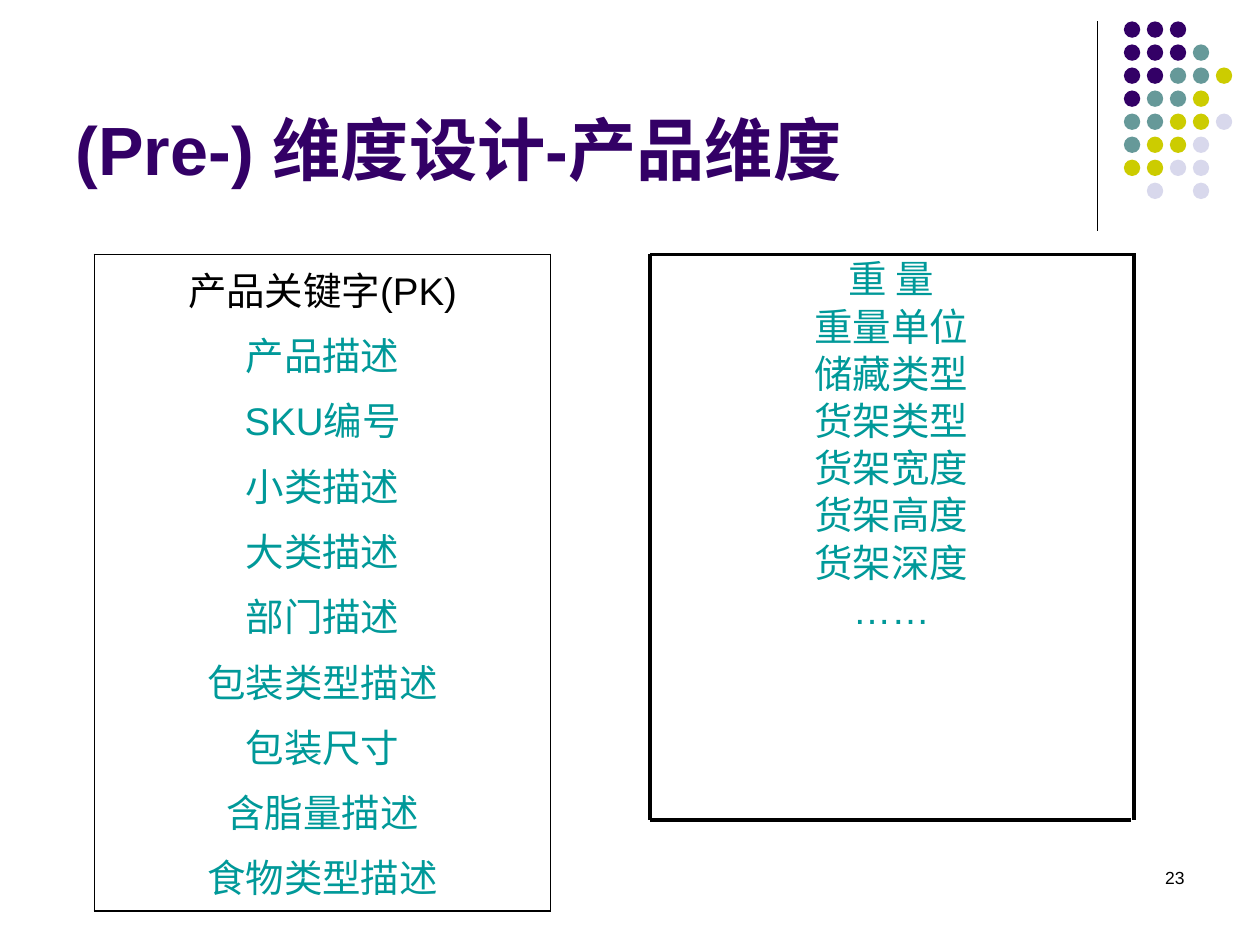
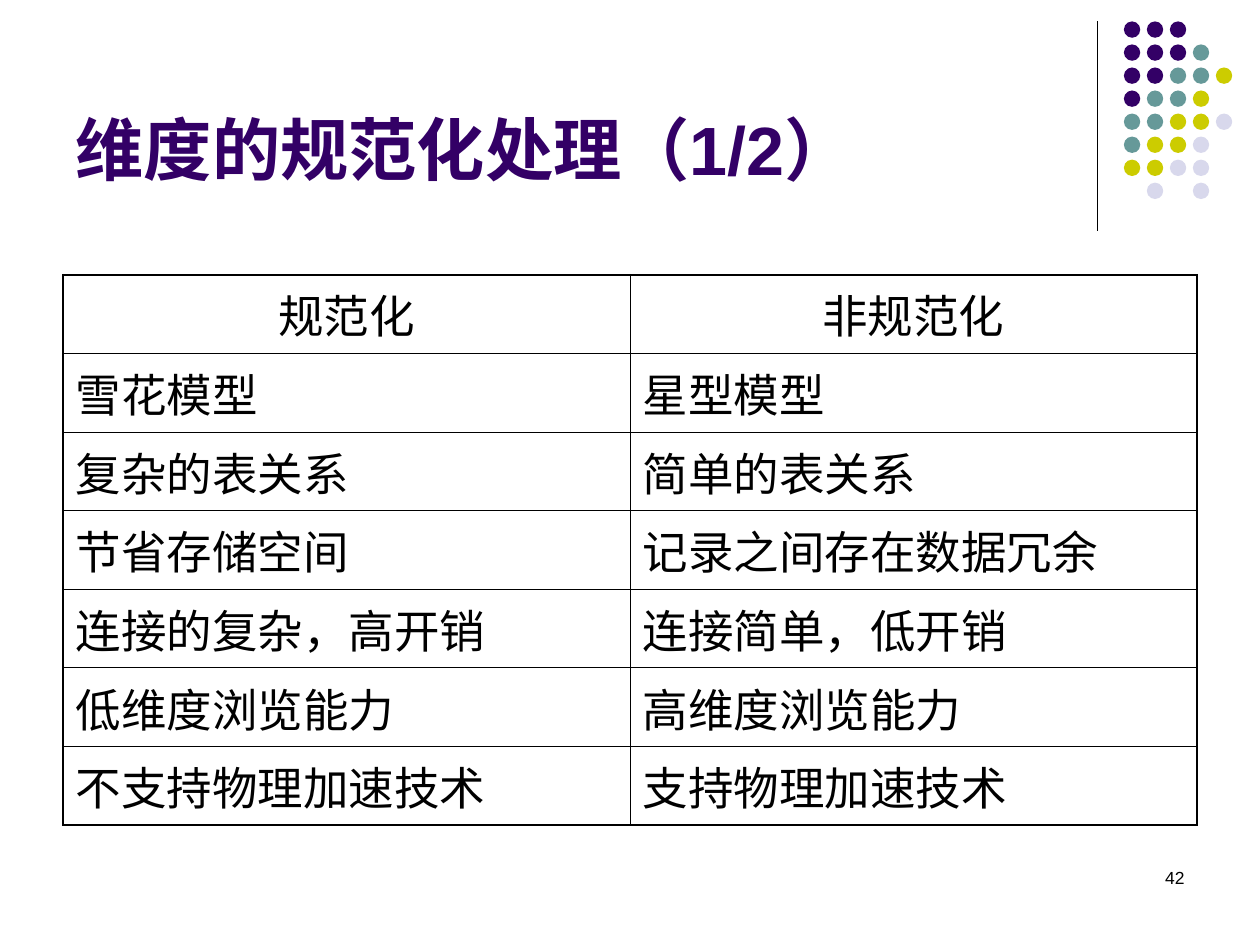
from lxml.etree import SubElement
from pptx import Presentation
from pptx.dml.color import RGBColor
from pptx.enum.shapes import MSO_CONNECTOR, MSO_SHAPE
from pptx.enum.text import MSO_ANCHOR, MSO_AUTO_SIZE, PP_ALIGN
from pptx.oxml.ns import qn
from pptx.util import Inches, Pt

FONT = "Arial"
BLACK = RGBColor(0x00, 0x00, 0x00)
PURPLE = RGBColor(0x33, 0x00, 0x66)
TEAL = RGBColor(0x00, 0x99, 0x99)
SAGE = RGBColor(0x66, 0x99, 0x99)
OLIVE = RGBColor(0xCC, 0xCC, 0x00)
LAVENDER = RGBColor(0xD8, 0xD8, 0xEC)
OUTER_BORDER, INNER_BORDER = Pt(1.08), Pt(0.45)

DOT_COLORS = {"P": PURPLE, "S": SAGE, "O": OLIVE, "L": LAVENDER}
DOT_ROWS = ["PPP", "PPPS", "PPSSO", "PSSO", "SSOOL", "SOOL", "OOLL", " L L"]

TITLES = [("(Pre-) 维度设计-产品维度", "23"), ("维度的规范化处理（1/2）", "42")]
PRODUCT_FIELDS = [
    "产品关键字(PK)", "产品描述", "SKU编号", "小类描述", "大类描述",
    "部门描述", "包装类型描述", "包装尺寸", "含脂量描述", "食物类型描述",
]
SHELF_FIELDS = [
    "重 量", "重量单位", "储藏类型", "货架类型",
    "货架宽度", "货架高度", "货架深度", "……",
]
COMPARISON = [
    ("规范化", "非规范化"),
    ("雪花模型", "星型模型"),
    ("复杂的表关系", "简单的表关系"),
    ("节省存储空间", "记录之间存在数据冗余"),
    ("连接的复杂，高开销", "连接简单，低开销"),
    ("低维度浏览能力", "高维度浏览能力"),
    ("不支持物理加速技术", "支持物理加速技术"),
]


def write(frame, text, size, color=BLACK, bold=False, align=PP_ALIGN.LEFT,
          gap=0, line_spacing=None):
    """Write one paragraph per line of text, with a gap between paragraphs."""
    frame.word_wrap = True
    for index, line in enumerate(text.split("\n")):
        paragraph = frame.add_paragraph() if index else frame.paragraphs[0]
        paragraph.alignment = align
        paragraph.space_before = Pt(gap if index else 0)
        paragraph.line_spacing = line_spacing
        run = paragraph.add_run()
        run.text = line
        run.font.name = FONT
        run.font.size = Pt(size)
        run.font.bold = bold
        run.font.color.rgb = color


def add_line(slide, left, top, right, bottom, width):
    line = slide.shapes.add_connector(
        MSO_CONNECTOR.STRAIGHT, Inches(left), Inches(top), Inches(right), Inches(bottom))
    line.line.color.rgb = BLACK
    line.line.width = Pt(width)
    SubElement(line._element.spPr, qn("a:effectLst"))


presentation = Presentation()
presentation.slide_width = Inches(10)
presentation.slide_height = Inches(7.5)

# Shared frame: divider, dot pattern, page number and title
slides = []
for title_text, page_number in TITLES:
    slide = presentation.slides.add_slide(presentation.slide_layouts[5])
    slides.append(slide)
    add_line(slide, 8.71, 0.17, 8.71, 1.83, 0.75)

    dots = slide.shapes.add_group_shape()
    for row, letters in enumerate(DOT_ROWS):
        for column, letter in enumerate(letters):
            if letter == " ":
                continue
            dot = dots.shapes.add_shape(
                MSO_SHAPE.OVAL,
                Inches(8.92 + column * 0.73 / 4), Inches(0.17 + row * 1.28 / 7),
                Inches(0.13), Inches(0.13))
            dot.shadow.inherit = False
            dot.fill.solid()
            dot.fill.fore_color.rgb = DOT_COLORS[letter]
            dot.line.fill.background()

    number_box = slide.shapes.add_textbox(
        Inches(7.17), Inches(6.83), Inches(2.33), Inches(0.5))
    write(number_box.text_frame, page_number, 10, align=PP_ALIGN.RIGHT)

    title = slide.shapes.title
    title.left, title.top = Inches(0.5), Inches(0.13)
    title.width, title.height = Inches(8.25), Inches(1.42)
    title.text_frame.auto_size = MSO_AUTO_SIZE.NONE
    title.text_frame.vertical_anchor = MSO_ANCHOR.BOTTOM
    write(title.text_frame, title_text, 39, PURPLE, bold=True)

product_slide, comparison_slide = slides

# Product fields in a single-cell table
product_table = product_slide.shapes.add_table(
    1, 1, Inches(0.75), Inches(2.02), Inches(3.62), Inches(5.21)).table
product_frame = product_table.cell(0, 0).text_frame
write(product_frame, "\n".join(PRODUCT_FIELDS), 22, TEAL, align=PP_ALIGN.CENTER, gap=5.5)
product_frame.paragraphs[0].runs[0].font.color.rgb = BLACK

# Shelf fields inside four heavy lines
shelf_box = product_slide.shapes.add_textbox(
    Inches(5.16), Inches(2.02), Inches(3.83), Inches(4.48))
write(shelf_box.text_frame, "\n".join(SHELF_FIELDS), 22, TEAL,
      align=PP_ALIGN.CENTER, gap=3.2, line_spacing=0.9)
for ends in [(5.16, 2.02, 9.02, 2.02), (5.16, 6.51, 8.98, 6.51),
             (5.16, 2.02, 5.16, 6.51), (9, 2.02, 9, 6.51)]:
    add_line(product_slide, *ends, 2.25)

# Comparison table
comparison_table = comparison_slide.shapes.add_table(
    len(COMPARISON), 2, Inches(0.5), Inches(2.18), Inches(9), Inches(4.37)).table
for row, texts in enumerate(COMPARISON):
    for column, text in enumerate(texts):
        write(comparison_table.cell(row, column).text_frame, text, 26,
              align=PP_ALIGN.LEFT if row else PP_ALIGN.CENTER)

# Table borders: heavier on the outside, no fill
for table in (product_table, comparison_table):
    table.first_row = table.horz_banding = False
    last_row, last_column = len(table.rows) - 1, len(table.columns) - 1
    for row in range(last_row + 1):
        for column in range(last_column + 1):
            cell = table.cell(row, column)
            cell_properties = cell._tc.get_or_add_tcPr()
            edges = {"lnL": column == 0, "lnR": column == last_column,
                     "lnT": row == 0, "lnB": row == last_row}
            for edge, is_outer in edges.items():
                border = SubElement(cell_properties, qn(f"a:{edge}"),
                                    w=str(OUTER_BORDER if is_outer else INNER_BORDER))
                border_fill = SubElement(border, qn("a:solidFill"))
                SubElement(border_fill, qn("a:srgbClr"), val=str(BLACK))
            cell.fill.background()

presentation.save("out.pptx")
